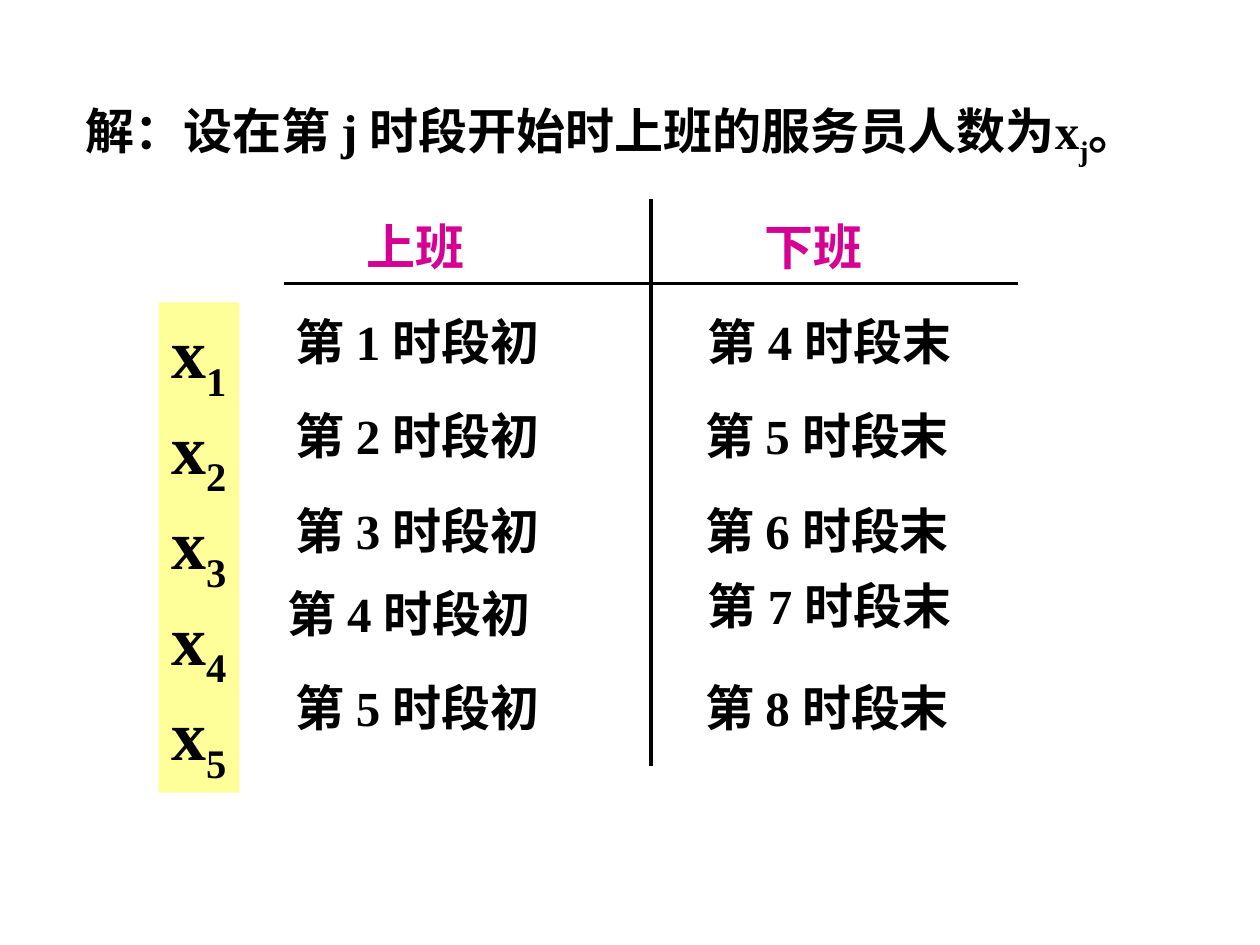
from lxml import etree
from pptx import Presentation
from pptx.dml.color import RGBColor
from pptx.enum.shapes import MSO_CONNECTOR, MSO_SHAPE
from pptx.enum.text import MSO_ANCHOR, MSO_AUTO_SIZE, PP_ALIGN
from pptx.oxml.ns import qn
from pptx.util import Inches, Pt

BLACK = RGBColor(0, 0, 0)
PINK = RGBColor(0xD6, 0x00, 0x93)
YELLOW = RGBColor(0xFF, 0xFF, 0x99)
LINE, RECT = MSO_CONNECTOR.STRAIGHT, MSO_SHAPE.RECTANGLE
TOP, LEFT = MSO_ANCHOR.TOP, PP_ALIGN.LEFT
GROW = MSO_AUTO_SIZE.SHAPE_TO_FIT_TEXT


class Page:
    def __init__(self, slide):
        self.slide = slide
        self.style = {"name": "Times New Roman", "size": Pt(28), "bold": True}

    def fill_in(self, shape, lines, wrap=False, color=BLACK, tabs=(), **extra):
        """Fill a shape; each line is a list of runs, odd ones subscript."""
        frame = shape.text_frame
        frame.word_wrap = wrap
        frame.auto_size = GROW
        frame.vertical_anchor = TOP
        for i, runs in enumerate(lines):
            para = frame.add_paragraph() if i else frame.paragraphs[0]
            para.alignment = LEFT
            if tabs:
                stops = etree.SubElement(para._p.get_or_add_pPr(), qn("a:tabLst"))
                for pos in tabs:
                    etree.SubElement(stops, qn("a:tab"), pos=str(Inches(pos)), algn="l")
            for j, text in enumerate(runs):
                run = para.add_run()
                run.text = text
                for key, value in {**self.style, **extra}.items():
                    setattr(run.font, key, value)
                run.font.color.rgb = color
                if j % 2:
                    run._r.get_or_add_rPr().set("baseline", "-25000")

    def text(self, box, runs, **form):
        shape = self.slide.shapes.add_textbox(*map(Inches, box))
        self.fill_in(shape, [runs], **form)

    def panel(self, box, fill, lines, **form):
        shape = self.slide.shapes.add_shape(RECT, *map(Inches, box))
        shape.shadow.inherit = False
        shape.fill.solid()
        shape.fill.fore_color.rgb = fill
        shape.line.fill.background()
        self.fill_in(shape, lines, **form)

    def line(self, *ends):
        line = self.slide.shapes.add_connector(LINE, *map(Inches, ends))
        line.line.color.rgb = BLACK
        line.line.width = Pt(2.25)
        etree.SubElement(line._element.spPr, qn("a:effectLst"))


def main():
    deck = Presentation()
    deck.slide_width, deck.slide_height = Inches(10), Inches(7.5)
    page = Page(deck.slides.add_slide(deck.slide_layouts[6]))

    # Column heads and rules
    page.text((1.75, 1.67, 6.67, 0.57), ["\t上班\t下班"],
              wrap=True, color=PINK, tabs=(1.06, 4.22))
    page.line(2.25, 2.25, 8.08, 2.25)
    page.line(5.17, 1.58, 5.17, 6.08)

    # Opening statement
    page.text((0.58, 0.75, 9.08, 0.63),
              ["解：设在第 j 时段开始时上班的服务员人数为x", "j", "。"], wrap=True)

    # Shift starts and ends: left and top of each
    starts = [(2.25, 2.42), (2.25, 3.17), (2.25, 3.92), (2.18, 4.58), (2.25, 5.33)]
    ends = [(5.52, 2.42), (5.5, 3.17), (5.5, 3.92), (5.52, 4.52), (5.5, 5.33)]
    for spots, first, word in ((starts, 1, "初"), (ends, 4, "末")):
        for num, spot in enumerate(spots, first):
            page.text((*spot, 2.32, 0.57), [f"第 {num} 时段{word}"])

    # Variables
    page.panel((1.26, 2.4, 0.64, 3.89), YELLOW,
               [["x", str(num)] for num in range(1, 6)], size=Pt(40))

    deck.save("out.pptx")


if __name__ == "__main__":
    main()
